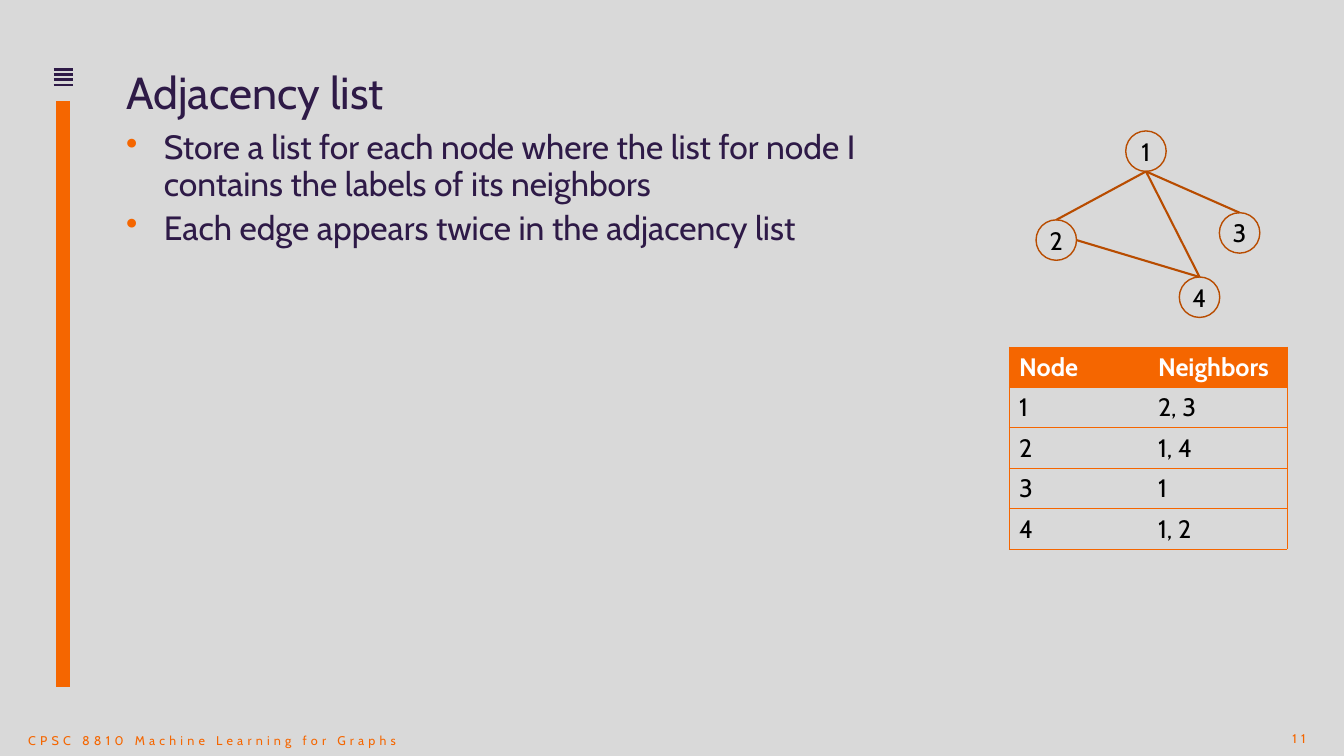
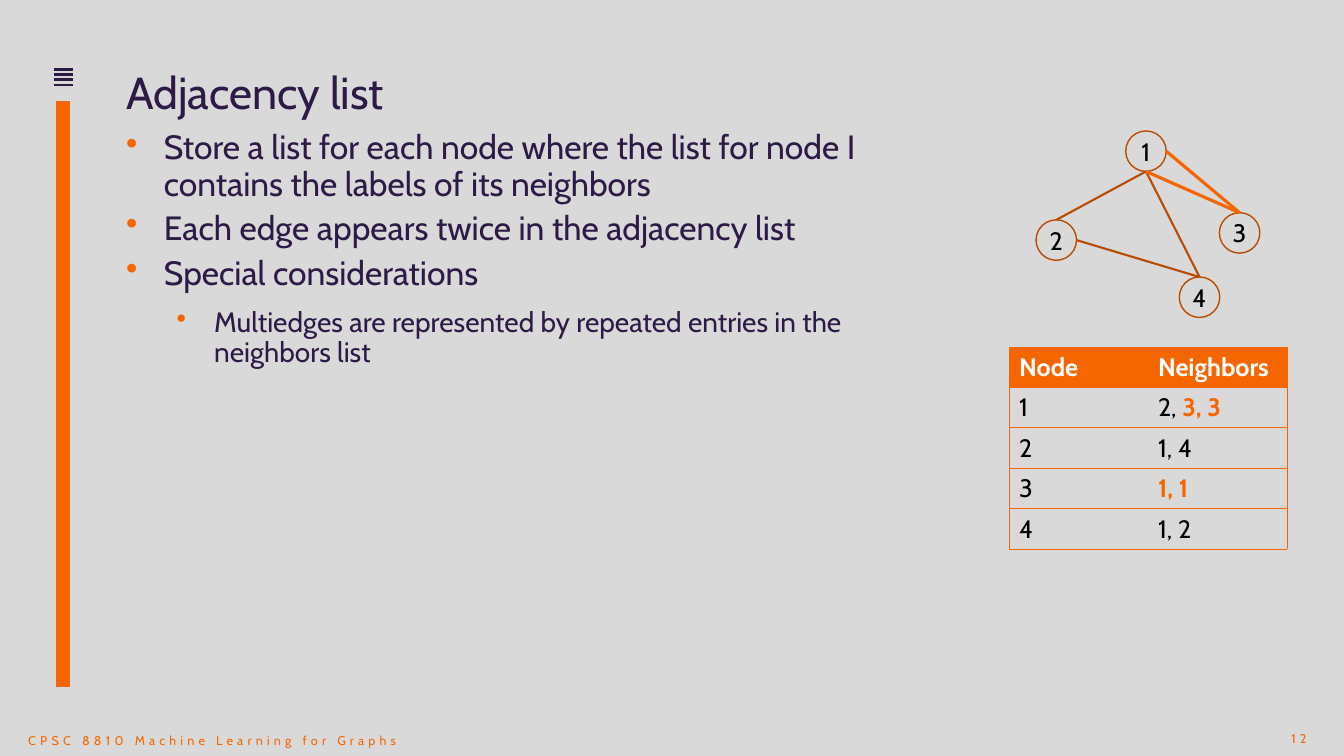
from dataclasses import dataclass

import lxml.etree
import pptx
import pptx.dml.color
import pptx.enum.shapes
import pptx.enum.text
import pptx.oxml.ns
import pptx.shapes.autoshape
import pptx.shapes.connector
import pptx.slide
import pptx.table
import pptx.text.text
import pptx.util

Cm = pptx.util.Cm
Pt = pptx.util.Pt
qn = pptx.oxml.ns.qn

ORANGE = "F56600"
RUST = "B84C00"
PURPLE = "2E1A47"
BLACK = "000000"
WHITE = "FFFFFF"
GRAY = "D9D9D9"
FONT = "Cabin"

TOP, LEFT, BOTTOM, RIGHT = range(4)
NODE_SIZE = 1.02
COLUMN_WIDTH = 3.5
ROW_HEIGHT = 1.02
NO_TABLE_STYLE = "{2D5ABB26-0587-4C30-8999-92F81FD0307C}"


@dataclass(frozen=True)
class Span:
    text: str
    size: float = 18
    color: str = BLACK
    bold: bool = False
    spacing: int = 0


@dataclass(frozen=True)
class Bullet:
    text: str
    size: float = 24
    indent: float = 0.95
    space_before: float = 0


@dataclass(frozen=True)
class Node:
    label: str
    center_x: float
    center_y: float


@dataclass(frozen=True)
class Edge:
    start: str
    start_side: int
    end: str
    end_side: int
    color: str = RUST
    width: float = 1.5


@dataclass(frozen=True)
class Lesson:
    number: int
    bullets: list[Bullet]
    edges: list[Edge]
    neighbors: list[list[Span]]


NODES = [
    Node("1", 28.88, 3.81),
    Node("2", 26.62, 6.05),
    Node("3", 31.24, 5.87),
    Node("4", 30.23, 7.49),
]
COMMON_EDGES = [
    Edge("1", BOTTOM, "2", TOP),
    Edge("1", BOTTOM, "4", TOP),
    Edge("4", TOP, "2", RIGHT),
]
COMMON_BULLETS = [
    Bullet("Store a list for each node where the list for node I contains the labels of its neighbors"),
    Bullet("Each edge appears twice in the adjacency list"),
]
LESSONS = [
    Lesson(
        11,
        COMMON_BULLETS,
        COMMON_EDGES + [Edge("1", BOTTOM, "3", TOP)],
        [[Span("2, 3")], [Span("1, 4")], [Span("1")], [Span("1, 2")]],
    ),
    Lesson(
        12,
        COMMON_BULLETS
        + [
            Bullet("Special considerations"),
            Bullet("Multiedges are represented by repeated entries in the neighbors list", 20, 2.22, 5),
        ],
        COMMON_EDGES + [Edge("1", side, "3", TOP, ORANGE, 2.25) for side in (BOTTOM, RIGHT)],
        [
            [Span("2, "), Span("3, 3", color=ORANGE, bold=True)],
            [Span("1, 4")],
            [Span("1, 1", color=ORANGE, bold=True)],
            [Span("1, 2")],
        ],
    ),
]


def rgb(color: str) -> pptx.dml.color.RGBColor:
    return pptx.dml.color.RGBColor.from_string(color)


def add_span(para: pptx.text.text._Paragraph, span: Span) -> None:
    run = para.add_run()
    run.text = span.text
    run.font.name = FONT
    run.font.size = Pt(span.size)
    run.font.bold = span.bold
    run.font.color.rgb = rgb(span.color)
    if span.spacing:
        run.font._element.set("spc", str(span.spacing * 100))


def add_box(
    page: pptx.slide.Slide, left: float, top: float, width: float, height: float, top_inset: float = 0
) -> pptx.text.text.TextFrame:
    frame = page.shapes.add_textbox(Cm(left), Cm(top), Cm(width), Cm(height)).text_frame
    frame.word_wrap = True
    frame.margin_left = frame.margin_right = frame.margin_bottom = 0
    frame.margin_top = Cm(top_inset)
    return frame


def add_line(
    page: pptx.slide.Slide,
    start: tuple[float, float],
    end: tuple[float, float],
    color: str,
    width: float,
) -> pptx.shapes.connector.Connector:
    line = page.shapes.add_connector(
        pptx.enum.shapes.MSO_CONNECTOR.STRAIGHT, Cm(start[0]), Cm(start[1]), Cm(end[0]), Cm(end[1])
    )
    line.line.color.rgb = rgb(color)
    line.line.width = Pt(width)
    lxml.etree.SubElement(line._element.spPr, qn("a:effectLst"))
    return line


def add_frame(page: pptx.slide.Slide, number: int) -> None:
    for index in range(4):
        height = 1.75 + 0.13 * index
        add_line(page, (1.35, height), (1.85, height), PURPLE, 1.75)
    add_line(page, (1.6, 2.54), (1.6, 17.32), ORANGE, 10)

    footer = add_box(page, 0.71, 18.14, 10.08, 0.91, 0.13)
    page_number = add_box(page, 32.33, 18.21, 0.81, 0.66, 0.13)
    page_number.paragraphs[0].alignment = pptx.enum.text.PP_ALIGN.CENTER
    for frame, text in ((footer, "CPSC 8810 Machine Learning for Graphs"), (page_number, str(number))):
        frame.vertical_anchor = pptx.enum.text.MSO_ANCHOR.MIDDLE
        add_span(frame.paragraphs[0], Span(text, 9, ORANGE, spacing=3))

    title = add_box(page, 3.18, 1.78, 29.21, 1.22).paragraphs[0]
    title.line_spacing = 0.9
    add_span(title, Span("Adjacency list", 32, PURPLE))


def add_bullets(page: pptx.slide.Slide, bullets: list[Bullet]) -> None:
    frame = add_box(page, 3.18, 3.3, 21.06, 6.05)
    for index, bullet in enumerate(bullets):
        para = frame.add_paragraph() if index else frame.paragraphs[0]
        properties = para._p.get_or_add_pPr()
        properties.set("marL", str(Cm(bullet.indent)))
        properties.set("indent", str(-Cm(0.95)))
        bullet_color = lxml.etree.SubElement(properties, qn("a:buClr"))
        lxml.etree.SubElement(bullet_color, qn("a:srgbClr"), val=ORANGE)
        lxml.etree.SubElement(properties, qn("a:buChar"), char="•")
        para.line_spacing = 0.9
        para.space_before = Pt(bullet.space_before)
        para.space_after = Pt(6)
        add_span(para, Span(bullet.text, bullet.size, PURPLE))


def add_node(page: pptx.slide.Slide, node: Node) -> pptx.shapes.autoshape.Shape:
    circle = page.shapes.add_shape(
        pptx.enum.shapes.MSO_SHAPE.OVAL,
        Cm(node.center_x - NODE_SIZE / 2),
        Cm(node.center_y - NODE_SIZE / 2),
        Cm(NODE_SIZE),
        Cm(NODE_SIZE),
    )
    circle.shadow.inherit = False
    circle.fill.background()
    circle.line.color.rgb = rgb(RUST)
    circle.line.width = Pt(1)
    frame = circle.text_frame
    frame.margin_left = frame.margin_right = frame.margin_top = frame.margin_bottom = 0
    frame.word_wrap = False
    frame.vertical_anchor = pptx.enum.text.MSO_ANCHOR.MIDDLE
    frame.paragraphs[0].alignment = pptx.enum.text.PP_ALIGN.CENTER
    add_span(frame.paragraphs[0], Span(node.label))
    return circle


def add_graph(page: pptx.slide.Slide, edges: list[Edge]) -> None:
    circles = {node.label: add_node(page, node) for node in NODES}
    for edge in edges:
        line = add_line(page, (0, 0), (1, 1), edge.color, edge.width)
        line.begin_connect(circles[edge.start], edge.start_side)
        line.end_connect(circles[edge.end], edge.end_side)
        links = line._element.nvCxnSpPr.cNvCxnSpPr
        # An ellipse has eight connection sites, so each side is every second one.
        links.stCxn.set("idx", str(2 * edge.start_side))
        links.endCxn.set("idx", str(2 * edge.end_side))


def set_borders(cell: pptx.table._Cell, sides: list[str]) -> None:
    properties = cell._tc.get_or_add_tcPr()
    for index, side in enumerate(sides):
        border = lxml.etree.Element(qn(f"a:ln{side}"), w=str(Pt(0.5)))
        fill = lxml.etree.SubElement(border, qn("a:solidFill"))
        lxml.etree.SubElement(fill, qn("a:srgbClr"), val=ORANGE)
        properties.insert(index, border)


def add_neighbor_table(page: pptx.slide.Slide, neighbors: list[list[Span]]) -> None:
    header = [[Span(text, color=WHITE, bold=True)] for text in ("Node", "Neighbors")]
    rows = [header] + [[[Span(node.label)], spans] for node, spans in zip(NODES, neighbors)]
    table = page.shapes.add_table(
        len(rows), 2, Cm(25.43), Cm(8.74), Cm(2 * COLUMN_WIDTH), Cm(len(rows) * ROW_HEIGHT)
    ).table
    table.horz_banding = False
    table._tbl.tblPr.find(qn("a:tableStyleId")).text = NO_TABLE_STYLE
    for row_index, row in enumerate(rows):
        for column_index, spans in enumerate(row):
            cell = table.cell(row_index, column_index)
            if row_index == 0:
                cell.fill.solid()
                cell.fill.fore_color.rgb = rgb(ORANGE)
            else:
                cell.fill.background()
            set_borders(cell, ["R" if column_index else "L", "T", "B"])
            for span in spans:
                add_span(cell.text_frame.paragraphs[0], span)


def main() -> None:
    deck = pptx.Presentation()
    deck.slide_width = Cm(33.87)
    deck.slide_height = Cm(19.05)
    background = deck.slide_master.background.fill
    background.solid()
    background.fore_color.rgb = rgb(GRAY)
    for lesson in LESSONS:
        page = deck.slides.add_slide(deck.slide_layouts[6])
        add_frame(page, lesson.number)
        add_bullets(page, lesson.bullets)
        add_graph(page, lesson.edges)
        add_neighbor_table(page, lesson.neighbors)
    deck.save("out.pptx")


if __name__ == "__main__":
    main()
